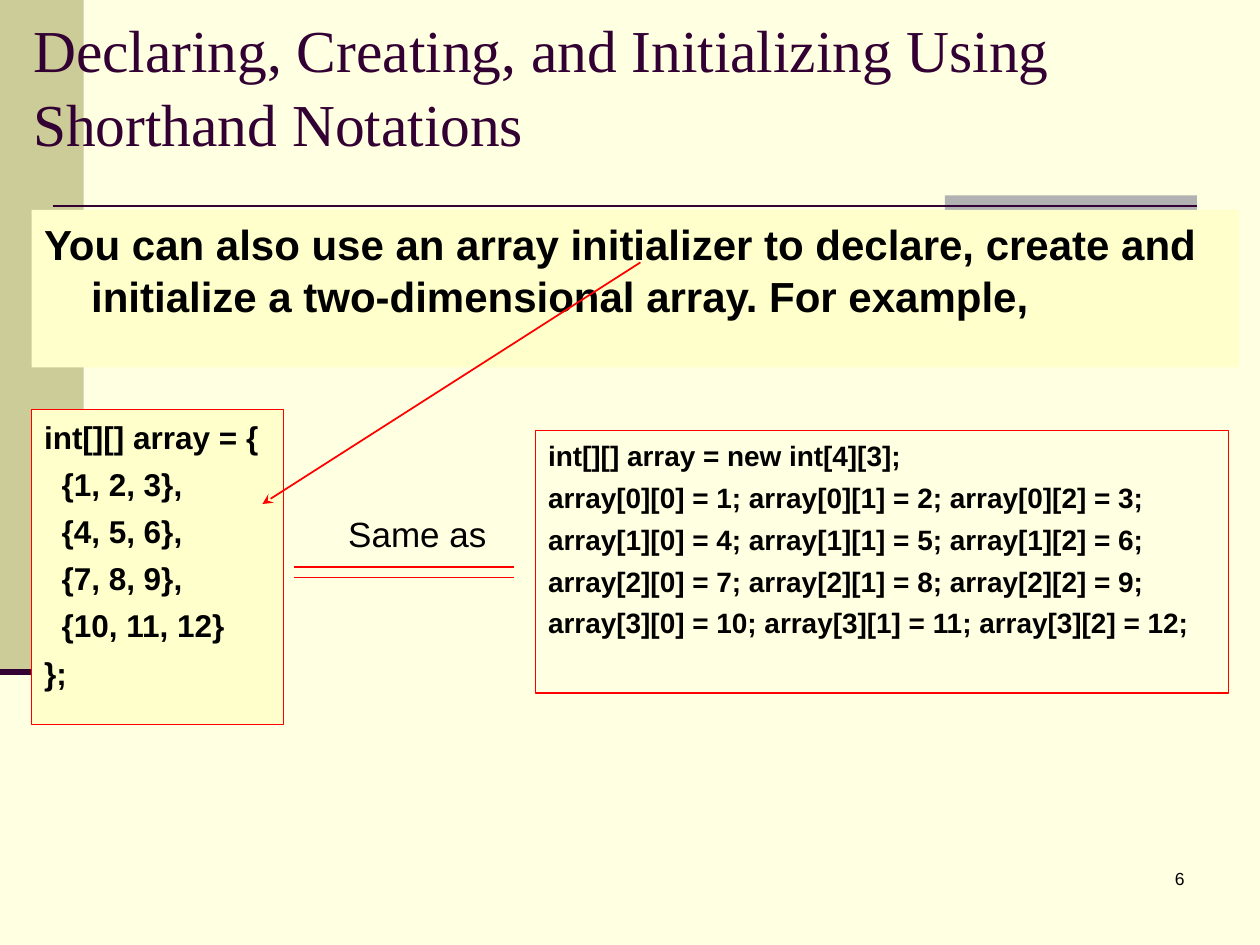
import pptx
import pptx.util
import pptx.dml.color
import pptx.enum.shapes
import pptx.enum.text
import pptx.oxml.ns
import lxml.etree

Cm, Pt = pptx.util.Cm, pptx.util.Pt
ALIGN = pptx.enum.text.PP_ALIGN
INK, RED, PLUM = "000000", "FF0000", "330033"
PAGE, CREAM, KHAKI, GREY = "FFFFE1", "FFFFCC", "CCCC99", "B2B2B2"
HANG = Cm(0.95)


def rgb(value):
    return pptx.dml.color.RGBColor.from_string(value)


class SlideBuilder:
    """Holds the text style and the current slide."""

    font = "Arial"
    title_font = "Times New Roman"
    line_spacing = 1.04

    def __init__(self, prs):
        self.s = prs.slides.add_slide(prs.slide_layouts[5])
        self.s.background.fill.solid()
        self.s.background.fill.fore_color.rgb = rgb(PAGE)

    def set_text(self, sp, lines, size, color=INK, font=None, bold=False,
                 align=ALIGN.LEFT, anchor=pptx.enum.text.MSO_ANCHOR.TOP,
                 space=0, hang=False):
        tf = sp.text_frame
        tf.text = "\n".join(lines)
        tf.word_wrap = True
        tf.auto_size = pptx.enum.text.MSO_AUTO_SIZE.NONE
        tf.vertical_anchor = anchor
        tf.margin_left = tf.margin_right = Cm(0.25)
        tf.margin_top = tf.margin_bottom = Cm(0.13)
        for i, p in enumerate(tf.paragraphs):
            p.alignment = align
            p.line_spacing = self.line_spacing
            p.space_before = Pt(space if i else 0)
            if hang:
                pPr = p._p.get_or_add_pPr()
                pPr.set("marL", str(HANG))
                pPr.set("indent", str(-HANG))
            for r in p.runs:
                r.font.name = font or self.font
                r.font.size = Pt(size)
                r.font.bold = bold
                r.font.color.rgb = rgb(color)

    def title(self, x, y, w, h, text, size):
        sp = self.s.shapes.title
        sp.left, sp.top, sp.width, sp.height = Cm(x), Cm(y), Cm(w), Cm(h)
        self.set_text(sp, [text], size, PLUM, self.title_font,
                      anchor=pptx.enum.text.MSO_ANCHOR.MIDDLE)
        # Bring the title in front of the decoration
        sp.element.getparent().append(sp.element)

    def text(self, x, y, w, h, text, size, **style):
        sp = self.s.shapes.add_textbox(Cm(x), Cm(y), Cm(w), Cm(h))
        self.set_text(sp, [text], size, **style)

    def box(self, x, y, w, h, fill=None, line=None):
        sp = self.s.shapes.add_shape(
            pptx.enum.shapes.MSO_SHAPE.RECTANGLE, Cm(x), Cm(y), Cm(w), Cm(h))
        sp.shadow.inherit = False
        if fill:
            sp.fill.solid()
            sp.fill.fore_color.rgb = rgb(fill)
        else:
            sp.fill.background()
        if line:
            sp.line.color.rgb = rgb(line)
            sp.line.width = Pt(0.75)
        else:
            sp.line.fill.background()
        return sp

    def line(self, x1, y1, x2, y2, color=RED, width=1, arrow=None):
        sp = self.s.shapes.add_connector(
            pptx.enum.shapes.MSO_CONNECTOR.STRAIGHT,
            Cm(x1), Cm(y1), Cm(x2), Cm(y2))
        sp.line.color.rgb = rgb(color)
        sp.line.width = Pt(width)
        qn = pptx.oxml.ns.qn
        if arrow:
            lxml.etree.SubElement(sp.line._get_or_add_ln(), qn("a:tailEnd"),
                                  type=arrow)
        lxml.etree.SubElement(sp.element.spPr, qn("a:effectLst"))


def main():
    prs = pptx.Presentation()
    prs.slide_width, prs.slide_height = Cm(25.4), Cm(19.05)
    b = SlideBuilder(prs)

    # Background decoration
    b.box(0, 0, 1.69, 13.55, KHAKI)
    b.box(19.05, 3.94, 5.08, 0.51, GREY)
    b.line(1.06, 4.15, 24.13, 4.15, PLUM, 1.5)
    b.line(0, 13.55, 1.69, 13.55, PLUM, 3.5)

    # Page number and title
    b.text(18.84, 17.36, 5.29, 1.27, "6", 10, align=ALIGN.RIGHT)
    b.title(0.42, 0.64, 24.55, 2.12,
            "Declaring, Creating, and Initializing Using Shorthand Notations",
            34)

    # Introduction
    intro = b.box(0.64, 4.23, 24.34, 3.18, CREAM)
    b.set_text(intro, [
        "You can also use an array initializer to declare, create "
        "and initialize a two-dimensional array. For example,",
    ], 24, bold=True, hang=True)

    # Element by element assignment
    longhand = b.box(10.8, 8.68, 13.97, 5.29, line=RED)
    b.set_text(longhand, [
        "int[][] array = new int[4][3];",
        "array[0][0] = 1; array[0][1] = 2; array[0][2] = 3;",
        "array[1][0] = 4; array[1][1] = 5; array[1][2] = 6;",
        "array[2][0] = 7; array[2][1] = 8; array[2][2] = 9;",
        "array[3][0] = 10; array[3][1] = 11; array[3][2] = 12;",
    ], 16, bold=True, space=4, hang=True)

    # Array initializer
    shorthand = b.box(0.64, 8.26, 5.08, 6.35, CREAM, RED)
    b.set_text(shorthand, [
        "int[][] array = {",
        "  {1, 2, 3},",
        "  {4, 5, 6},",
        "  {7, 8, 9},",
        "  {10, 11, 12}",
        "};",
    ], 18, bold=True, space=4.5, hang=True)

    # Equals sign between the two forms
    b.text(6.77, 10.16, 3.81, 1.06, "Same as", 20, hang=True)
    for y in (11.43, 11.64):
        b.line(5.93, y, 10.37, y)

    # Arrow from the term to its example
    b.line(12.91, 5.29, 5.29, 10.16, arrow="stealth")

    prs.save("out.pptx")


if __name__ == "__main__":
    main()
